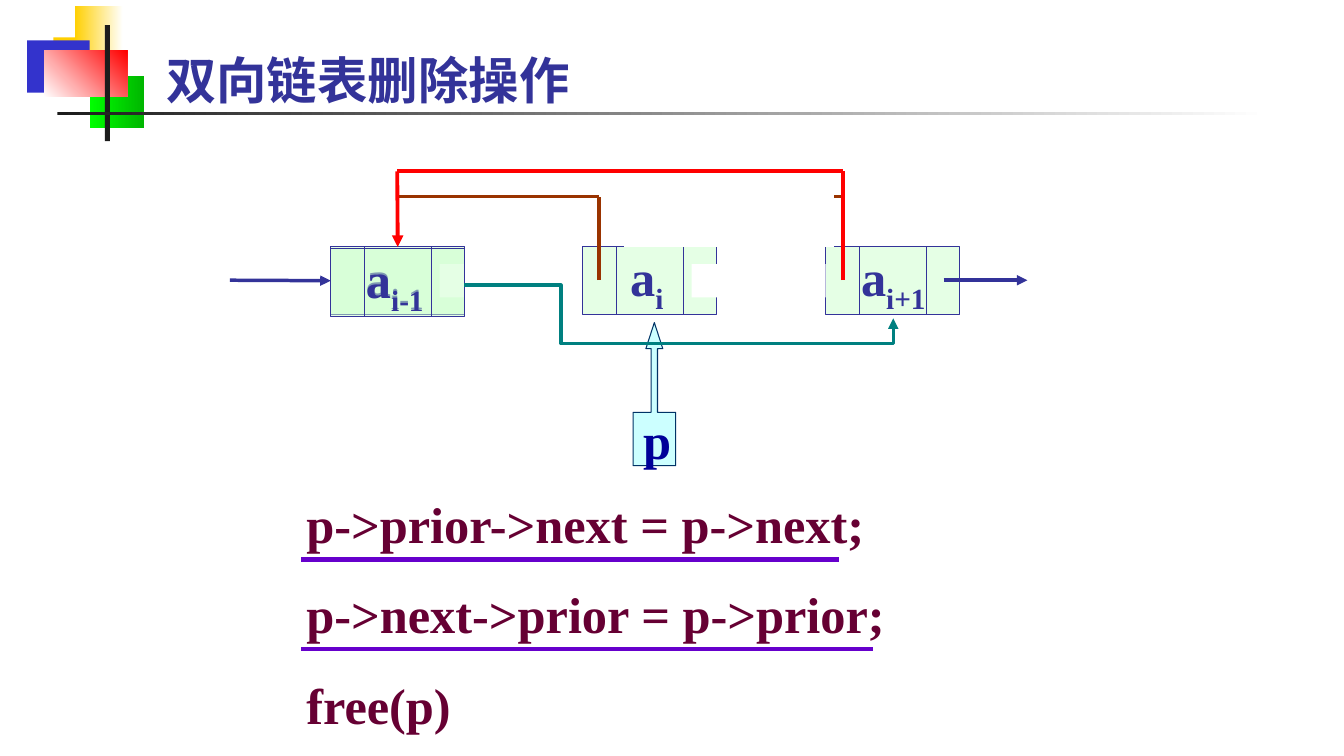
from pptx import Presentation
from pptx.dml.color import RGBColor as RGB
from pptx.enum.shapes import MSO_CONNECTOR as LINK, MSO_SHAPE as SHAPE
from pptx.enum.text import MSO_ANCHOR as ANCHOR, PP_ALIGN as ALIGN
from pptx.oxml.ns import qn
from pptx.util import Inches, Pt
from lxml.etree import SubElement as Sub

HUES = dict(gold="FFCF01", white="FFFFFF", blue="3333CC", lime="00FF00", green="00B600",
            red="FF0000", black="1C1C1C", navy="333399", mint="CCFFCC", wine="660033",
            violet="6600CC", brown="993300", teal="008080", ice="CCFFFF", deep="003366",
            ink="000099")
SERIF = "Times New Roman"
TITLE = "双向链表删除操作"
CODE = ["p->prior->next = p->next;", "p->next->prior = p->prior;", "free(p)"]
DECOR = [
    ((0.53, 0.37, 0.64, 0.52), ("gold",), 0),
    ((0.74, 0.06, 0.48, 0.52), ("gold", "white"), 0),
    ((0.27, 0.4, 0.62, 0.52), ("blue",), 0),
    ((0.89, 0.75, 0.54, 0.52), ("lime", "green"), 0),
    ((0.44, 0.5, 0.82, 0.46), ("white", "red"), 45),
    ((1.04, 0.25, 0.05, 1.15), ("black",), 0),
    ((0.57, 1.11, 12, 0.03), ("black", "white"), 0),
]
NODES = [(3.28, "i-1", 0.35), (5.78, "i", 0.47), (8.19, "i+1", 0.35)]
TOP, WIDE, HIGH = 2.45, 1.33, 0.67
MID = 2.78
PRIOR_A, PRIOR_B, PRIOR_C = 3.94, 5.94, 8.36
RULES = [(5.55, 8.32), (6.44, 8.66)]
GAPS = dict(next_a=(4.36, 2.62, 1.33, 0.33), prior=(6.19, 1.87, 2.08, 0.58),
            next_b=(6.86, 2.62, 1.33, 0.33))

deck = Presentation()
deck.slide_width, deck.slide_height = Inches(13.33), Inches(7.5)
slide = deck.slides.add_slide(deck.slide_layouts[6])


def hue(name):
    return RGB.from_string(HUES[name])


def write(shape, lines, color, font=SERIF, sub=None, wrap=False, gap=None,
          left=0.1, right=0.1, anchor=ANCHOR.TOP):
    frame = shape.text_frame
    frame.word_wrap, frame.vertical_anchor = wrap, anchor
    frame.margin_left, frame.margin_right = Inches(left), Inches(right)
    for i, line in enumerate(lines):
        para = frame.add_paragraph() if i else frame.paragraphs[0]
        para.alignment = ALIGN.LEFT
        if gap:
            para.line_spacing = gap
        for text in filter(None, (line, sub)):
            run = para.add_run()
            run.text = text
            run.font.size, run.font.bold, run.font.name = Pt(36), True, font
            run.font.color.rgb = hue(color)
            if text == sub:
                run.font._element.set("baseline", "-25000")


def block(box, fills, angle=0, edge=None, kind=SHAPE.RECTANGLE):
    shape = slide.shapes.add_shape(kind, *map(Inches, box))
    shape.shadow.inherit = False
    if len(fills) > 1:
        shape.fill.gradient()
        shape.fill.gradient_angle = angle
        for stop, name in zip(shape.fill.gradient_stops, fills):
            stop.color.rgb = hue(name)
    else:
        shape.fill.solid()
        shape.fill.fore_color.rgb = hue(fills[0])
    if edge:
        shape.line.color.rgb, shape.line.width = hue(edge), Pt(0.75)
    else:
        shape.line.fill.background()
    return shape


def link(start, end, color, width, head=False, kind=LINK.STRAIGHT):
    line = slide.shapes.add_connector(kind, *map(Inches, (*start, *end)))
    line.line.color.rgb, line.line.width = hue(color), Pt(width)
    if head:
        Sub(line.line._get_or_add_ln(), qn("a:tailEnd"), type="triangle")
    Sub(line._element.spPr, qn("a:effectLst"))
    return line


def node(x, sub, left, top=TOP):
    box = block((x, top, WIDE, HIGH), ("mint",), edge="navy")
    tint = next(box._element.spPr.iter(qn("a:srgbClr")))
    Sub(tint, qn("a:alpha"), val="50000")
    write(box, ["a"], "navy", sub=sub, left=left, right=0, anchor=ANCHOR.MIDDLE)
    for part in (0.25, 0.75):
        bar = x + WIDE * part
        link((bar, top), (bar, top + HIGH), "navy", 0.75)
    return box


def label(box, lines, color, **form):
    write(slide.shapes.add_textbox(*map(Inches, box)), lines, color, **form)


def main():
    """Build the slide on deleting a node from a doubly linked list."""
    for box, fills, angle in DECOR:
        block(box, fills, angle)

    first, _, _ = [node(*item) for item in NODES]
    link((2.28, MID), (3.28, MID), "navy", 2.5, head=True).end_connect(first, 1)
    link((9.36, MID), (10.19, MID), "navy", 2.5, head=True)
    label((2.94, 4.54, 6, 2.83), CODE, "wine", gap=1.5)
    for y, end in RULES:
        link((2.99, y), (end, y), "violet", 3)

    block(GAPS["next_a"], ("white",))
    call = block((6.28, 3.2, 0.42, 1.42), ("ice",), edge="deep", kind=SHAPE.UP_ARROW_CALLOUT)
    for i, share in enumerate((0.15, 0.2, 0.617, 0.373)):
        call.adjustments[i] = share
    write(call, ["p"], "ink", anchor=ANCHOR.MIDDLE)

    link((PRIOR_C, 1.95), (8.27, 1.95), "brown", 2.5)
    link((PRIOR_B, MID), (PRIOR_B, 1.95), "brown", 2.5)
    link((PRIOR_B, 1.95), (PRIOR_A, 1.95), "brown", 2.5)
    node(*NODES[0], top=TOP + 0.02)

    bent = link((4.6, 2.83), (8.86, 3.16), "teal", 2.5, head=True, kind=LINK.ELBOW)
    geom = bent._element.spPr.find(qn("a:prstGeom"))
    geom.set("prst", "bentConnector4")
    for name, share in (("adj1", 22600), ("adj2", 175000)):
        Sub(geom.find(qn("a:avLst")), qn("a:gd"), name=name, fmla=f"val {share}")

    link((PRIOR_C, MID), (PRIOR_C, 1.7), "red", 2.75)
    link((PRIOR_C, 1.7), (PRIOR_A, 1.7), "red", 2.75)
    link((PRIOR_A, 1.7), (PRIOR_A, TOP), "red", 2.75, head=True).end_connect(first, 0)
    block(GAPS["prior"], ("white",))
    label((1.55, 0.44, 8.3, 0.69), [TITLE], "navy", font="Arial Narrow", wrap=True)
    block(GAPS["next_b"], ("white",))
    deck.save("out.pptx")


if __name__ == "__main__":
    main()
